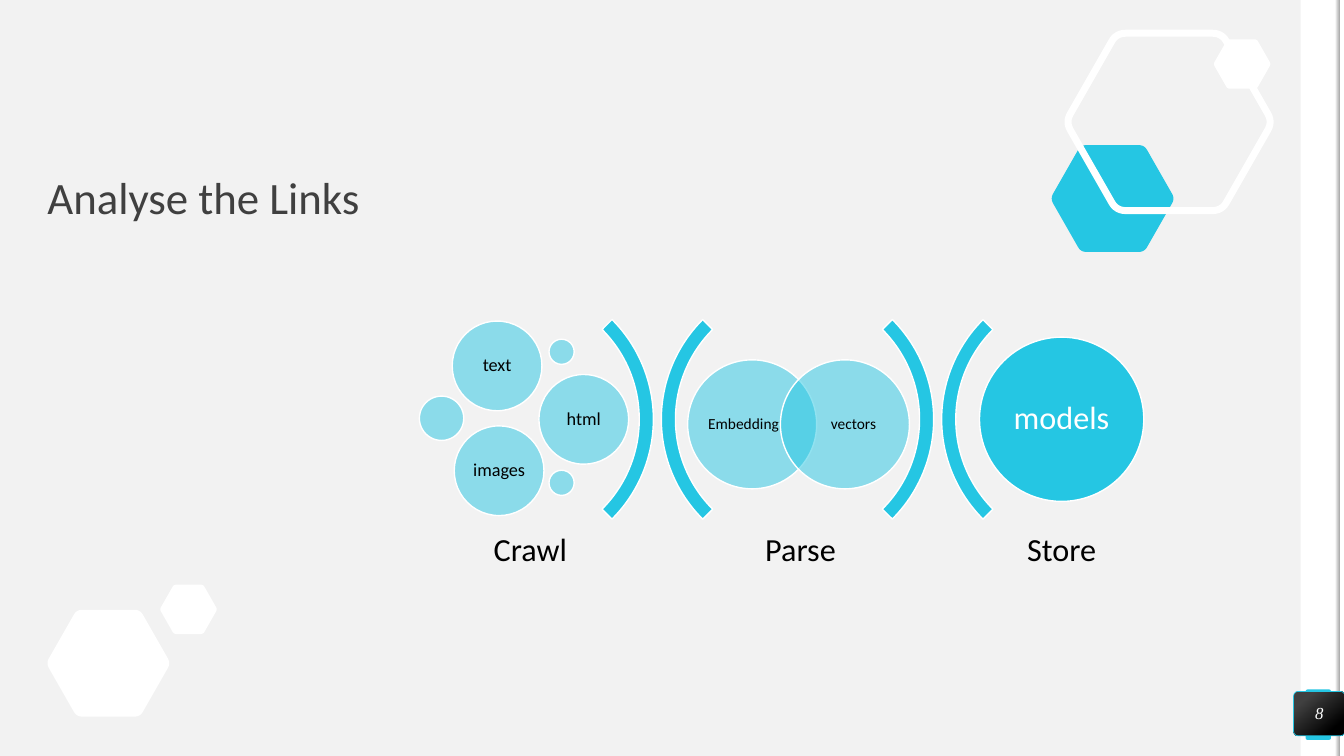
from dataclasses import dataclass

from lxml import etree
from pptx import Presentation
from pptx.dml.color import RGBColor
from pptx.enum.shapes import MSO_SHAPE
from pptx.enum.text import MSO_ANCHOR, PP_ALIGN
from pptx.oxml.ns import qn
from pptx.util import Inches, Pt

OVAL, ARC = MSO_SHAPE.OVAL, MSO_SHAPE.BLOCK_ARC
RECTANGLE, ROUNDED = MSO_SHAPE.RECTANGLE, MSO_SHAPE.ROUNDED_RECTANGLE
MIDDLE, BOTTOM = MSO_ANCHOR.MIDDLE, MSO_ANCHOR.BOTTOM
LEFT, CENTER = PP_ALIGN.LEFT, PP_ALIGN.CENTER


@dataclass(frozen=True)
class Theme:
    accent: str = "25C6E3"
    white: str = "FFFFFF"
    black: str = "000000"
    ground: str = "F2F2F2"
    title_ink: str = "404040"
    shade: str = "A6A6A6"
    font: str = "Calibri"
    number_font: str = "Times New Roman"
    title: int = 32
    stage: int = 23
    bubble: int = 13
    lens: int = 11
    number: int = 12


THEME = Theme()
WIDTH, HEIGHT = 13.33, 7.5
TITLE = "Analyse the Links"
PAGE_NUMBER = "8"

# Stage name, centre of its label
STAGES = [("Crawl", 5.26), ("Parse", 7.94), ("Store", 10.53)]
LABEL_TOP, LABEL_WIDTH, LABEL_HEIGHT = 5.19, 2.12, 0.56

# Centres of the arc pairs between stages
GATES = [6.52, 9.3]
ARC_SIZE, ARC_OFFSET, FLOW_Y = 2.8, 1.44, 4.16

# Text, centre x, centre y, diameter, type size, left inset, right inset
LENSES = [
    ("Embedding", 7.46, 4.21, 1.28, THEME.lens, 0, 0.17),
    ("vectors", 8.38, 4.21, 1.28, THEME.lens, 0.17, 0),
]
SOURCES = [
    ("text", 4.93, 3.63, 0.89, THEME.bubble, 0.05, 0.05),
    ("", 4.38, 4.15, 0.44, THEME.bubble, 0, 0),
    ("", 5.57, 3.49, 0.25, THEME.bubble, 0, 0),
    ("html", 5.79, 4.16, 0.89, THEME.bubble, 0.05, 0.05),
    ("", 5.57, 4.79, 0.25, THEME.bubble, 0, 0),
    ("images", 4.95, 4.67, 0.89, THEME.bubble, 0.05, 0.05),
]
MODEL = ("models", 10.53, 4.16, 1.63, THEME.stage, 0.1, 0.1)

# Left, top, width, height, fill (None gives a white outline)
HEXAGONS = [
    (0.47, 6.05, 1.21, 1.06, THEME.white),
    (10.43, 1.44, 1.21, 1.06, THEME.accent),
    (10.59, 0.33, 2.01, 1.76, None),
    (1.59, 5.8, 0.56, 0.49, THEME.white),
    (12.04, 0.39, 0.56, 0.49, THEME.white),
]
HEXAGON_CORNERS = [(0.24, 0), (0.76, 0), (1.01, 0.5), (0.76, 1), (0.24, 1), (-0.01, 0.5)]
CORNER_CUT, CURVE_STEPS = 0.09, 6


def color(code):
    return RGBColor.from_string(code)


def paint(shape, fill=None, line=None, points=1, opacity=100):
    shape.shadow.inherit = False
    if fill:
        shape.fill.solid()
        shape.fill.fore_color.rgb = color(fill)
        if opacity < 100:
            tint = shape.fill._xPr.find(qn("a:solidFill"))[0]
            etree.SubElement(tint, qn("a:alpha"), val=str(opacity * 1000))
    else:
        shape.fill.background()
    if line:
        shape.line.color.rgb = color(line)
        shape.line.width = Pt(points)
    else:
        shape.line.fill.background()


def blend(shape, stops, angle):
    shape.fill.gradient()
    shape.fill.gradient_angle = angle
    for stop, (position, code) in zip(shape.fill.gradient_stops, stops):
        stop.position = position
        stop.color.rgb = color(code)


def add_block(page, kind, left, top, width, height):
    return page.shapes.add_shape(kind, Inches(left), Inches(top), Inches(width), Inches(height))


def write(shape, text, size, ink, font=THEME.font, align=CENTER, anchor=MIDDLE,
          insets=(0, 0, 0, 0), wrap=True):
    frame = shape.text_frame
    frame.text = text
    frame.word_wrap = wrap
    frame.vertical_anchor = anchor
    (frame.margin_left, frame.margin_top,
     frame.margin_right, frame.margin_bottom) = map(Inches, insets)
    para = frame.paragraphs[0]
    para.alignment = align
    para.line_spacing = 0.9
    span = para.runs[0]
    span.font.name = font
    span.font.size = Pt(size)
    span.font.color.rgb = color(ink)
    return span


def add_label(page, box, *content, **style):
    write(page.shapes.add_textbox(*map(Inches, box)), *content, **style)


def add_bubble(page, bubble, ink=THEME.black, opacity=50):
    text, x, y, size, type_size, left, right = bubble
    circle = add_block(page, OVAL, x - size / 2, y - size / 2, size, size)
    paint(circle, THEME.accent, THEME.white, opacity=opacity)
    if text:
        write(circle, text, type_size, ink, insets=(left, 0, right, 0), wrap=False)


def between(start, end, share):
    return tuple(a + (b - a) * share for a, b in zip(start, end))


def hexagon_outline():
    """Unit-square points of a hexagon whose corners are quadratic curves."""
    points = []
    for index, corner in enumerate(HEXAGON_CORNERS):
        following = HEXAGON_CORNERS[(index + 1) % len(HEXAGON_CORNERS)]
        start = between(corner, HEXAGON_CORNERS[index - 1], CORNER_CUT)
        end = between(corner, following, CORNER_CUT)
        for step in range(CURVE_STEPS + 1):
            share = step / CURVE_STEPS
            points.append(between(between(start, corner, share),
                                  between(corner, end, share), share))
    return points


def add_hexagon(page, left, top, width, height, fill):
    points = [(Inches(left + x * width), Inches(top + y * height))
              for x, y in hexagon_outline()]
    builder = page.shapes.build_freeform(*points[0])
    builder.add_line_segments(points[1:], close=True)
    paint(builder.convert_to_shape(), fill, None if fill else THEME.white, points=5)


def add_side_band(page):
    paint(add_block(page, RECTANGLE, 12.9, 0, 0.39, HEIGHT), THEME.white)
    paint(add_block(page, RECTANGLE, 13.28, 0, 0.05, HEIGHT), THEME.white)
    edge = add_block(page, RECTANGLE, 13.24, 0, 0.05, HEIGHT)
    paint(edge)
    blend(edge, [(0, THEME.white), (1, THEME.shade)], 0)
    tab = add_block(page, ROUNDED, 12.95, 6.84, 0.25, 0.5)
    tab.adjustments[0] = 0.07
    paint(tab, THEME.accent)


def add_page_number(page):
    badge = add_block(page, ROUNDED, 12.83, 6.86, 0.51, 0.44)
    badge.adjustments[0] = 0.1
    paint(badge, line=THEME.accent, points=0.5)
    blend(badge, [(0.2, THEME.title_ink), (0.82, THEME.black)], 310)
    write(badge, PAGE_NUMBER, THEME.number, THEME.white, THEME.number_font).font.italic = True


def add_gate(page, middle):
    for side, turn in ((-1, 90), (1, 270)):
        arc = add_block(page, ARC, middle + side * ARC_OFFSET - ARC_SIZE / 2,
                        FLOW_Y - ARC_SIZE / 2, ARC_SIZE, ARC_SIZE)
        for index, value in enumerate((135, 189, 0.05)):
            arc.adjustments[index] = value
        arc.rotation = turn
        paint(arc, THEME.accent, THEME.white)


def main():
    deck = Presentation()
    deck.slide_width, deck.slide_height = Inches(WIDTH), Inches(HEIGHT)
    page = deck.slides.add_slide(deck.slide_layouts[6])
    page.background.fill.solid()
    page.background.fill.fore_color.rgb = color(THEME.ground)

    add_side_band(page)
    for hexagon in HEXAGONS:
        add_hexagon(page, *hexagon)
    add_label(page, (0.47, 0.47, 4.3, 1.75), TITLE, THEME.title, THEME.title_ink,
              align=LEFT, anchor=BOTTOM)
    add_page_number(page)
    for middle in GATES:
        add_gate(page, middle)
    for bubble in LENSES + SOURCES:
        add_bubble(page, bubble)
    add_bubble(page, MODEL, ink=THEME.white, opacity=100)
    for name, middle in STAGES:
        add_label(page, (middle - LABEL_WIDTH / 2, LABEL_TOP, LABEL_WIDTH, LABEL_HEIGHT),
                  name, THEME.stage, THEME.black, insets=(0.1, 0.1, 0.1, 0.1))
    deck.save("out.pptx")


if __name__ == "__main__":
    main()
